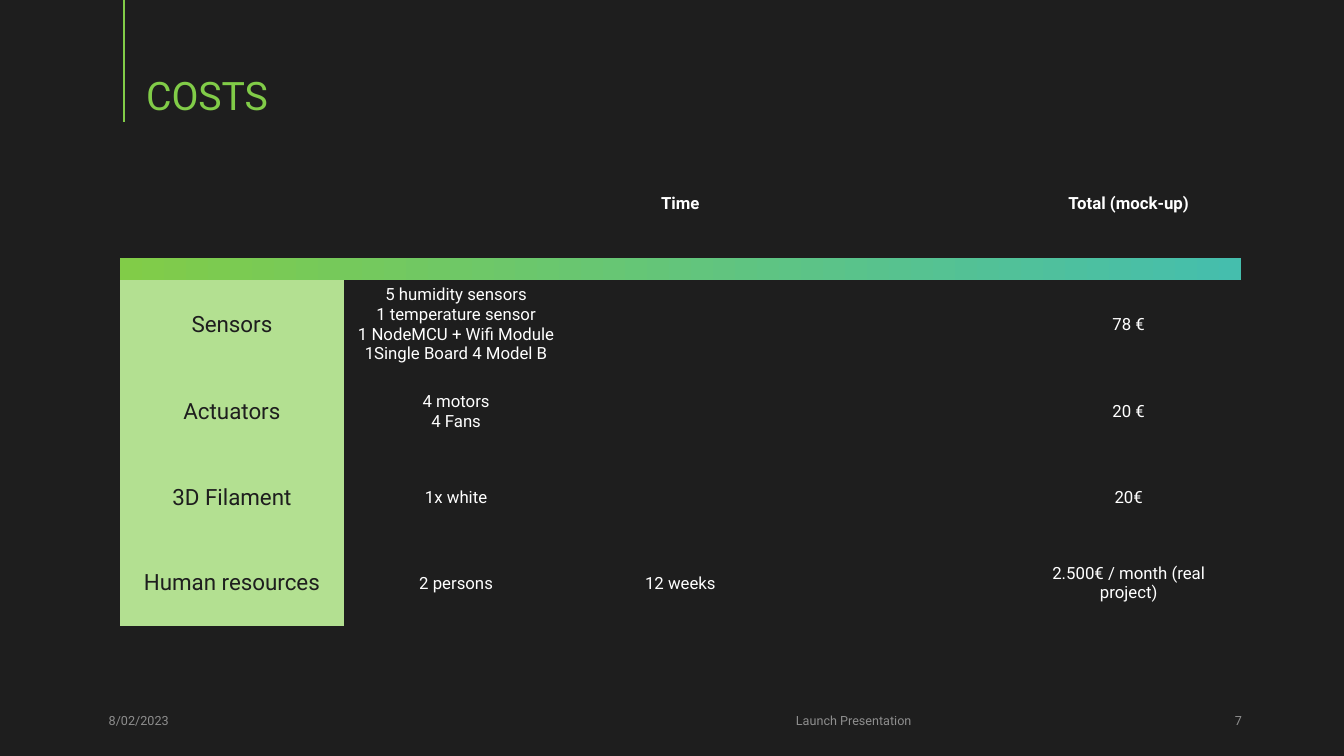
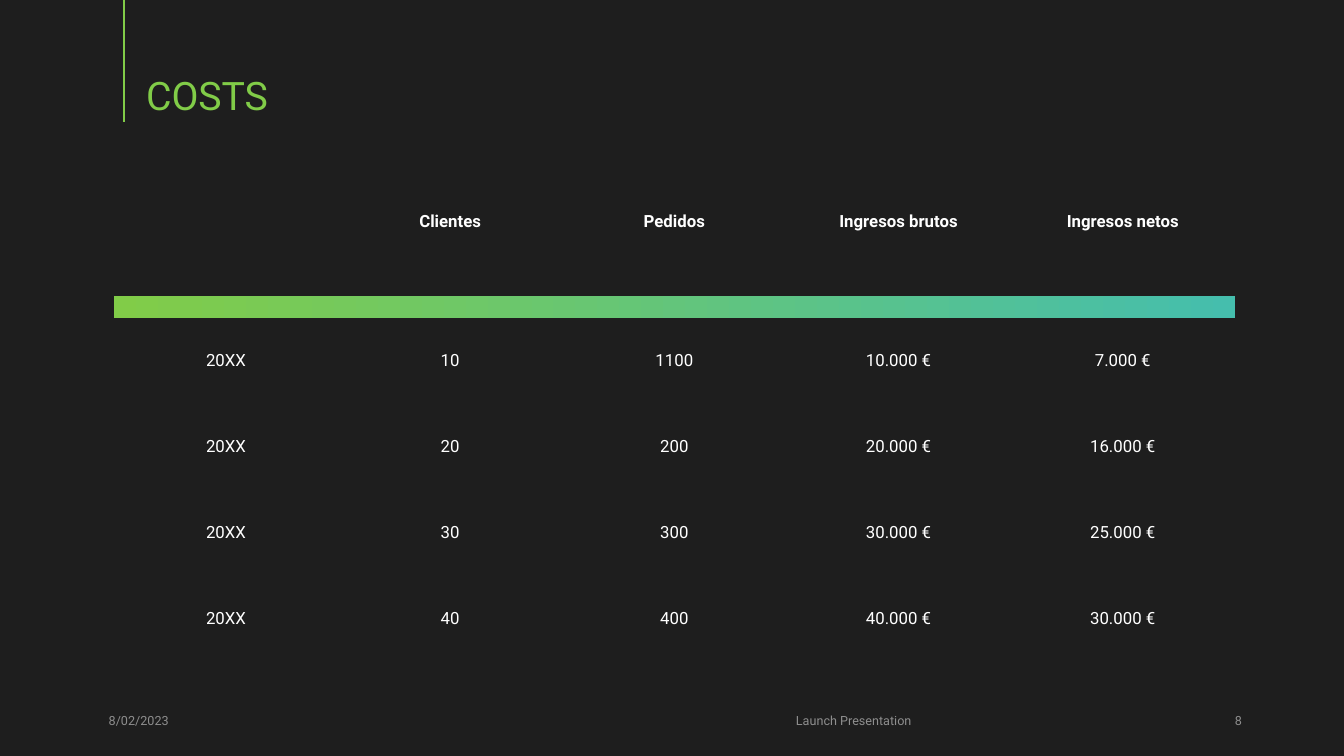
"""Build two cost slides that share one dark layout and one table style."""
import pptx
import pptx.dml.color
import pptx.enum.shapes
import pptx.enum.text
import pptx.util
from lxml import etree
from pptx.oxml.ns import qn

Cm, Pt = pptx.util.Cm, pptx.util.Pt
ALIGN, MIDDLE = pptx.enum.text.PP_ALIGN, pptx.enum.text.MSO_ANCHOR.MIDDLE

FONT = "Roboto"
DARK, WHITE, GREY = "1E1E1E", "FFFFFF", "8E8E8E"
GREEN, TEAL, PALE_GREEN = "81CC48", "45BEAD", "B3E091"
NO_STYLE_NO_GRID = "{2D5ABB26-0587-4C30-8999-92F81FD0307C}"

TITLE = "COSTS"
DATE = "8/02/2023"
FOOTER = "Launch Presentation"
FIRST_NUMBER = 7
COLUMN_WIDTH, ROW_HEIGHT, BAR_HEIGHT = 5.65, 2.16, 0.56

TABLES = [
    {
        "left": 3.02, "top": 3.76, "header_height": 2.74, "filled_labels": True,
        "header": ["", "", "Time", "", "Total (mock-up)"],
        "rows": [
            ["Sensors",
             "5 humidity sensors\n1 temperature sensor\n"
             "1 NodeMCU + Wifi Module\n1Single Board 4 Model B",
             "", "", "78 €"],
            ["Actuators", "4 motors\n4 Fans", "", "", "20 €"],
            ["3D Filament", "1x white", "", "", "20€"],
            ["Human resources", "2 persons", "12 weeks", "",
             "2.500€ / month (real project)"],
        ],
    },
    {
        "left": 2.87, "top": 3.73, "header_height": 3.73, "filled_labels": False,
        "header": ["", "Clientes", "Pedidos", "Ingresos brutos", "Ingresos netos"],
        "rows": [
            ["20XX", "10", "1100", "10.000 €", "7.000 €"],
            ["20XX", "20", "200", "20.000 €", "16.000 €"],
            ["20XX", "30", "300", "30.000 €", "25.000 €"],
            ["20XX", "40", "400", "40.000 €", "30.000 €"],
        ],
    },
]


def color(hex_string):
    return pptx.dml.color.RGBColor.from_string(hex_string)


def format_paragraph(paragraph, size, font_color, alignment, bold=False):
    paragraph.alignment = alignment
    paragraph.font.name = FONT
    paragraph.font.size = Pt(size)
    paragraph.font.bold = bold
    paragraph.font.color.rgb = color(font_color)


def prepare_layout(presentation):
    layout = presentation.slide_layouts[5]
    layout.background.fill.solid()
    layout.background.fill.fore_color.rgb = color(DARK)
    return layout


def add_accent_line(slide):
    line = slide.shapes.add_connector(
        pptx.enum.shapes.MSO_CONNECTOR.STRAIGHT, Cm(3.12), Cm(0), Cm(3.12), Cm(3.07))
    line.line.color.rgb = color(GREEN)
    line.line.width = Pt(1.5)
    etree.SubElement(line._element.spPr, qn("a:effectLst"))


def set_title(slide):
    title = slide.shapes.title
    title.left, title.top, title.width, title.height = Cm(3.68), Cm(1.19), Cm(28.68), Cm(2.57)
    frame = title.text_frame
    frame.text = TITLE
    frame.margin_left = 0
    frame.vertical_anchor = MIDDLE
    paragraph = frame.paragraphs[0]
    paragraph.line_spacing = 0.9
    format_paragraph(paragraph, 28, GREEN, ALIGN.LEFT)


def add_footer_text(slide, left, width, text, alignment, tab=None):
    box = slide.shapes.add_textbox(Cm(left), Cm(17.65), Cm(width), Cm(1.02))
    frame = box.text_frame
    frame.word_wrap = True
    frame.vertical_anchor = MIDDLE
    frame.text = text
    paragraph = frame.paragraphs[0]
    if tab:
        tabs = etree.SubElement(paragraph._p.get_or_add_pPr(), qn("a:tabLst"))
        etree.SubElement(tabs, qn("a:tab"), pos=str(Cm(tab)), algn="l")
    format_paragraph(paragraph, 9, GREY, alignment)


def fill_cell(cell, text, size=12, font_color=WHITE, bold=False, fill=None):
    cell.text = text
    cell.vertical_anchor = MIDDLE
    if fill:
        cell.fill.solid()
        cell.fill.fore_color.rgb = color(fill)
    else:
        cell.fill.background()
    for paragraph in cell.text_frame.paragraphs:
        format_paragraph(paragraph, size, font_color, ALIGN.CENTER, bold)


def make_gradient_bar(row):
    cells = list(row.cells)
    for cell in cells:
        cell.margin_top = cell.margin_bottom = 0
        paragraph = cell.text_frame.paragraphs[0]
        etree.SubElement(paragraph._p, qn("a:endParaRPr"), sz="600")
    cells[0].merge(cells[-1])
    fill = cells[0].fill
    fill.gradient()
    fill.gradient_angle = 0
    for stop, stop_color in zip(fill.gradient_stops, (GREEN, TEAL)):
        stop.color.rgb = color(stop_color)


def add_cost_table(slide, data):
    heights = [data["header_height"], BAR_HEIGHT] + [ROW_HEIGHT] * len(data["rows"])
    column_count = len(data["header"])
    table = slide.shapes.add_table(
        len(heights), column_count, Cm(data["left"]), Cm(data["top"]),
        Cm(COLUMN_WIDTH * column_count), Cm(sum(heights))).table
    table.first_row = table.horz_banding = False
    table._tbl.tblPr.find(qn("a:tableStyleId")).text = NO_STYLE_NO_GRID
    for column in table.columns:
        column.width = Cm(COLUMN_WIDTH)
    for row, height in zip(table.rows, heights):
        row.height = Cm(height)

    for index, text in enumerate(data["header"]):
        fill_cell(table.cell(0, index), text, bold=True)
    make_gradient_bar(table.rows[1])
    label_style = {}
    if data["filled_labels"]:
        label_style = {"size": 16, "font_color": DARK, "fill": PALE_GREEN}
    for row_index, texts in enumerate(data["rows"], start=2):
        for index, text in enumerate(texts):
            style = label_style if index == 0 else {}
            fill_cell(table.cell(row_index, index), text, **style)


def main():
    presentation = pptx.Presentation()
    presentation.slide_width, presentation.slide_height = Cm(33.87), Cm(19.05)
    layout = prepare_layout(presentation)
    for number, data in enumerate(TABLES, start=FIRST_NUMBER):
        slide = presentation.slides.add_slide(layout)
        add_accent_line(slide)
        set_title(slide)
        add_cost_table(slide, data)
        add_footer_text(slide, 2.49, 25.5, f"{DATE}\t{FOOTER}", ALIGN.LEFT, tab=17.32)
        add_footer_text(slide, 23.93, 7.62, str(number), ALIGN.RIGHT)
    presentation.save("out.pptx")


if __name__ == "__main__":
    main()
